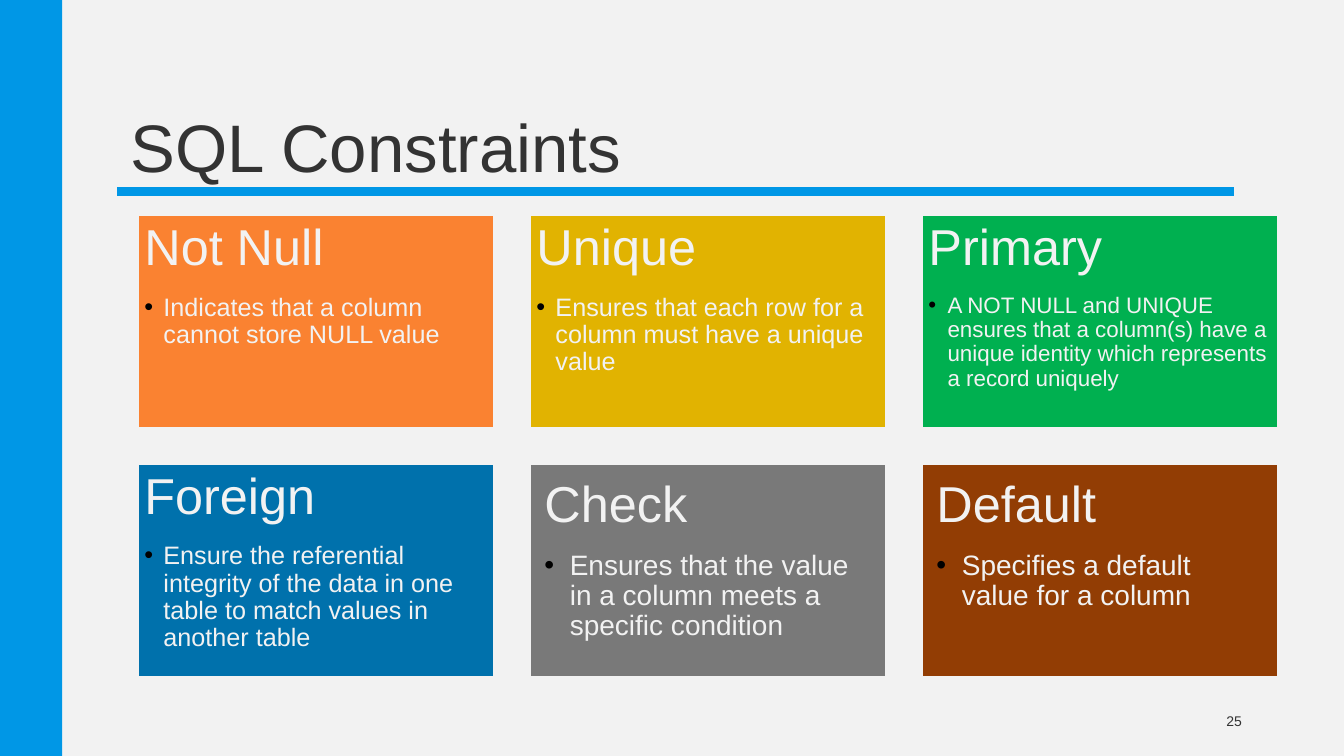
"""Build the SQL Constraints slide with six coloured cards."""
from dataclasses import dataclass

from lxml.etree import SubElement
from pptx import Presentation
from pptx.dml.color import RGBColor
from pptx.enum.shapes import MSO_CONNECTOR, MSO_SHAPE
from pptx.enum.text import MSO_ANCHOR, MSO_AUTO_SIZE, PP_ALIGN
from pptx.oxml.ns import qn
from pptx.util import Cm, Pt


@dataclass(frozen=True)
class Theme:
    font: str = "Arial"
    paper: str = "F2F2F2"
    accent: str = "0097E6"
    ink: str = "333333"
    bullet: str = "000000"
    title_size: int = 48
    heading_size: int = 36
    number_size: int = 10


@dataclass(frozen=True)
class Card:
    heading: str
    detail: str
    colour: str
    size: int = 18
    inset: float = 0.18
    indent: float = 0.48


THEME = Theme()
COLUMNS = 3
CARD_LEFT, CARD_TOP = 3.46, 5.42
CARD_WIDTH, CARD_HEIGHT = 8.99, 5.38
COLUMN_STEP, ROW_STEP = 9.88, 6.27

CARDS = [
    Card("Not Null", "Indicates that a column cannot store NULL value", "FA8231"),
    Card("Unique", "Ensures that each row for a column must have a unique value", "E1B301"),
    Card("Primary", "A NOT NULL and UNIQUE ensures that a column(s) have a unique identity "
         "which represents a record uniquely", "00B050", size=16),
    Card("Foreign", "Ensure the referential integrity of the data in one table to match "
         "values in another table", "0071AC"),
    Card("Check", "Ensures that the value in a column meets a specific condition", "797979",
         size=20, inset=0.38, indent=0.64),
    Card("Default", "Specifies a default value for a column", "923D04",
         size=20, inset=0.38, indent=0.64),
]


def colour(code: str) -> RGBColor:
    return RGBColor.from_string(code)


def add_span(para, text: str, size: int, code: str) -> None:
    span = para.add_run()
    span.text = text
    span.font.name = THEME.font
    span.font.size = Pt(size)
    span.font.color.rgb = colour(code)


def prepare_frame(shape, anchor, across: float, down: float):
    frame = shape.text_frame
    frame.word_wrap = True
    frame.auto_size = MSO_AUTO_SIZE.NONE
    frame.vertical_anchor = anchor
    frame.margin_left = frame.margin_right = Cm(across)
    frame.margin_top = frame.margin_bottom = Cm(down)
    return frame


def add_bullet(para, indent: float) -> None:
    properties = para._p.get_or_add_pPr()
    properties.set("marL", str(Cm(indent)))
    properties.set("indent", str(-Cm(indent)))
    tint = SubElement(properties, qn("a:buClr"))
    SubElement(tint, qn("a:srgbClr"), val=THEME.bullet)
    SubElement(properties, qn("a:buFont"), typeface=THEME.font)
    SubElement(properties, qn("a:buChar"), char="•")


def add_rectangle(page, left: float, top: float, width: float, height: float, code: str):
    box = page.shapes.add_shape(MSO_SHAPE.RECTANGLE, Cm(left), Cm(top), Cm(width), Cm(height))
    box.shadow.inherit = False
    box.fill.solid()
    box.fill.fore_color.rgb = colour(code)
    box.line.fill.background()
    return box


def add_card(page, card: Card, position: int) -> None:
    row, column = divmod(position, COLUMNS)
    box = add_rectangle(page, CARD_LEFT + column * COLUMN_STEP, CARD_TOP + row * ROW_STEP,
                        CARD_WIDTH, CARD_HEIGHT, card.colour)
    box.line.color.rgb = colour(THEME.paper)
    box.line.width = Pt(2)
    frame = prepare_frame(box, MSO_ANCHOR.TOP, card.inset, card.inset)
    heading, detail = frame.paragraphs[0], frame.add_paragraph()
    for para, text, size, share in ((heading, card.heading, THEME.heading_size, 0.35),
                                    (detail, card.detail, card.size, 0.15)):
        para.alignment = PP_ALIGN.LEFT
        para.line_spacing = 0.9
        para.space_after = Pt(size * share)
        add_span(para, text, size, THEME.paper)
    detail.level = 1
    add_bullet(detail, card.indent)


def add_title(page, text: str) -> None:
    title = page.shapes.title
    title.left, title.top, title.width, title.height = Cm(3.05), Cm(0.79), Cm(27.94), Cm(4.04)
    para = prepare_frame(title, MSO_ANCHOR.BOTTOM, 0.25, 0.13).paragraphs[0]
    para.alignment = PP_ALIGN.LEFT
    para.line_spacing = 0.85
    add_span(para, text, THEME.title_size, THEME.ink)


def add_rule(page) -> None:
    rule = page.shapes.add_connector(MSO_CONNECTOR.STRAIGHT, Cm(2.95), Cm(4.83), Cm(31.1), Cm(4.83))
    rule.line.color.rgb = colour(THEME.accent)
    rule.line.width = Pt(6)
    SubElement(rule._element.spPr, qn("a:effectLst"))


def add_page_number(page, number: str) -> None:
    box = page.shapes.add_textbox(Cm(23.93), Cm(17.65), Cm(7.62), Cm(1.02))
    para = prepare_frame(box, MSO_ANCHOR.MIDDLE, 0.25, 0.13).paragraphs[0]
    para.alignment = PP_ALIGN.RIGHT
    add_span(para, number, THEME.number_size, THEME.ink)


def main() -> None:
    deck = Presentation()
    deck.slide_width, deck.slide_height = Cm(33.87), Cm(19.05)
    page = deck.slides.add_slide(deck.slide_layouts.get_by_name("Title Only"))
    page.background.fill.solid()
    page.background.fill.fore_color.rgb = colour(THEME.paper)
    add_rule(page)
    add_rectangle(page, 0, 0, 1.57, 19.05, THEME.accent)
    add_title(page, "SQL Constraints")
    add_page_number(page, "25")
    for position, card in enumerate(CARDS):
        add_card(page, card, position)
    deck.save("out.pptx")


if __name__ == "__main__":
    main()
